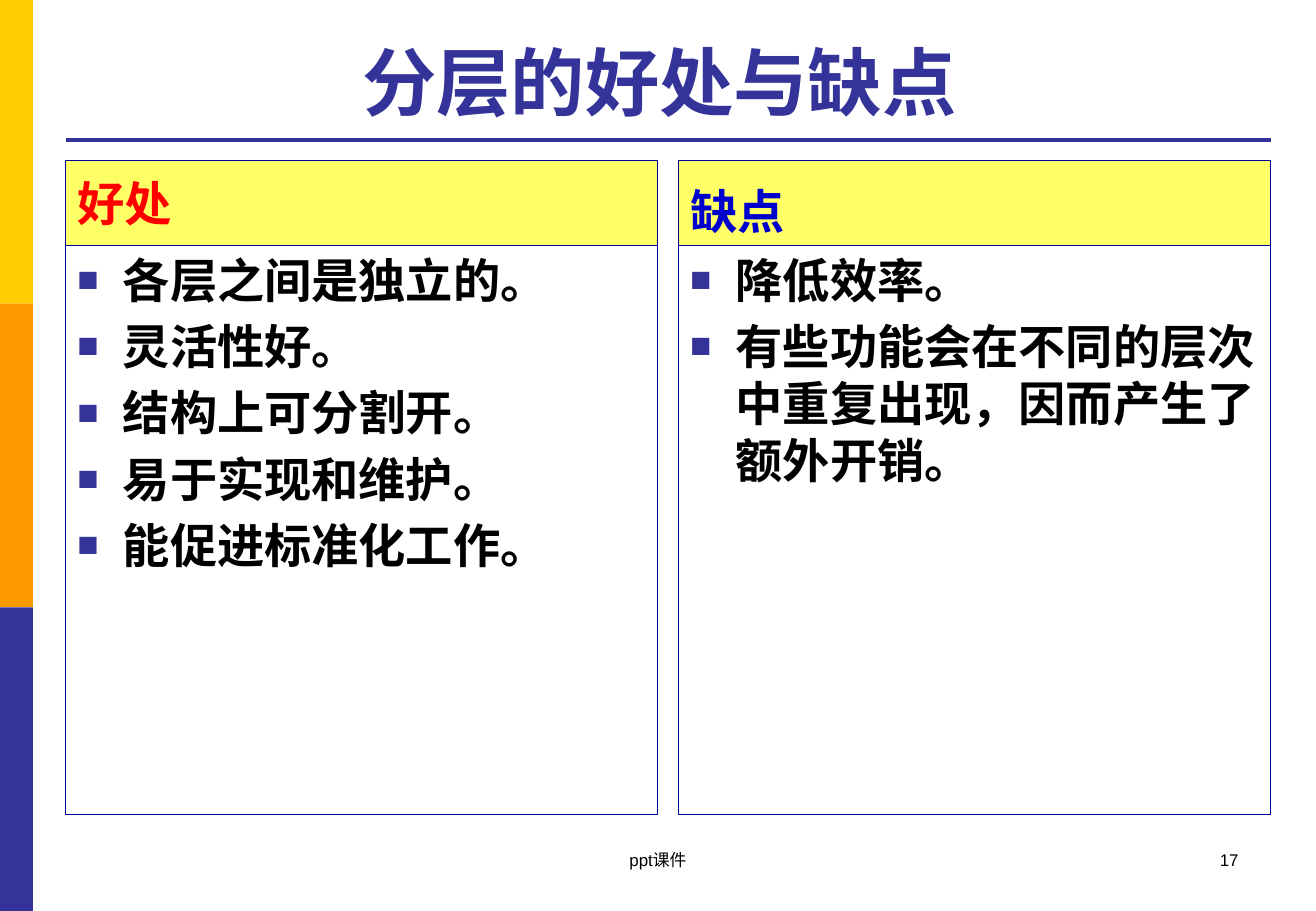
from dataclasses import dataclass

import pptx
import pptx.dml.color
import pptx.enum.shapes
import pptx.enum.text
import pptx.oxml.ns
import pptx.util
from lxml import etree

Cm = pptx.util.Cm
Pt = pptx.util.Pt
RGB = pptx.dml.color.RGBColor.from_string
ALIGN = pptx.enum.text.PP_ALIGN
ANCHOR = pptx.enum.text.MSO_ANCHOR
RECT = pptx.enum.shapes.MSO_SHAPE.RECTANGLE
qn = pptx.oxml.ns.qn


@dataclass(frozen=True)
class Theme:
    font: str = "Arial"
    title_size: int = 44
    body_size: int = 28
    footer_size: int = 10
    indigo: str = "333399"
    bands: tuple = ("FFCC00", "FF9900", "333399")
    header: str = "FFFF66"
    border: str = "000099"
    text: str = "000000"
    pros: str = "FF0000"
    cons: str = "0000CC"


THEME = Theme()


def add_run(p, text, size, color, bold=True):
    r = p.add_run()
    r.text = text
    r.font.name = THEME.font
    r.font.size = Pt(size)
    r.font.bold = bold
    r.font.color.rgb = RGB(color)


def add_box(slide, x, y, w, h, fill=None, line=None, anchor=ANCHOR.TOP):
    sp = slide.shapes.add_shape(RECT, Cm(x), Cm(y), Cm(w), Cm(h))
    sp.shadow.inherit = False
    if fill:
        sp.fill.solid()
        sp.fill.fore_color.rgb = RGB(fill)
    else:
        sp.fill.background()
    if line:
        sp.line.color.rgb = RGB(line)
        sp.line.width = Pt(0.75)
    else:
        sp.line.fill.background()
    sp.text_frame.word_wrap = True
    sp.text_frame.vertical_anchor = anchor
    return sp


def add_bullet(p):
    pPr = p._p.get_or_add_pPr()
    pPr.set("marL", str(Cm(0.95)))
    pPr.set("indent", str(-Cm(0.95)))
    color = etree.SubElement(pPr, qn("a:buClr"))
    etree.SubElement(color, qn("a:srgbClr"), val=THEME.indigo)
    etree.SubElement(pPr, qn("a:buSzPct"), val="75000")
    etree.SubElement(pPr, qn("a:buFont"), typeface=THEME.font)
    etree.SubElement(pPr, qn("a:buChar"), char="■")


def add_side_bands(slide, x, y, w, h):
    band_h = h / len(THEME.bands)
    for i, color in enumerate(THEME.bands):
        add_box(slide, x, y + i * band_h, w, band_h, color)


def add_title(slide, x, y, w, h, text):
    sp = slide.shapes.title
    sp.left, sp.top, sp.width, sp.height = Cm(x), Cm(y), Cm(w), Cm(h)
    tf = sp.text_frame
    tf.auto_size = pptx.enum.text.MSO_AUTO_SIZE.NONE
    tf.word_wrap = True
    tf.vertical_anchor = ANCHOR.BOTTOM
    p = tf.paragraphs[0]
    p.alignment = ALIGN.CENTER
    add_run(p, text, THEME.title_size, THEME.indigo)
    rule_y = Cm(y + h + 0.18)
    rule = slide.shapes.add_connector(
        pptx.enum.shapes.MSO_CONNECTOR.STRAIGHT, Cm(x), rule_y, Cm(x + w), rule_y)
    rule.line.color.rgb = RGB(THEME.indigo)
    rule.line.width = Pt(2.25)
    etree.SubElement(rule._element.spPr, qn("a:effectLst"))


def add_column(slide, x, y, w, h, heading, color, anchor, points):
    head_h = 1.78
    head = add_box(slide, x, y, w, head_h, THEME.header, THEME.border, anchor)
    p = head.text_frame.paragraphs[0]
    p.alignment = ALIGN.LEFT
    add_run(p, heading, THEME.body_size, color)
    body = add_box(slide, x, y + head_h, w, h - head_h, line=THEME.border)
    tf = body.text_frame
    for i, point in enumerate(points):
        p = tf.add_paragraph() if i else tf.paragraphs[0]
        add_bullet(p)
        p.alignment = ALIGN.LEFT
        if i:
            p.space_before = Pt(0.2 * THEME.body_size)
        add_run(p, point, THEME.body_size, THEME.text)


def add_footer(slide, x, y, w, h, text, align):
    tf = slide.shapes.add_textbox(Cm(x), Cm(y), Cm(w), Cm(h)).text_frame
    tf.word_wrap = True
    p = tf.paragraphs[0]
    p.alignment = align
    add_run(p, text, THEME.footer_size, THEME.text, bold=False)


def main():
    prs = pptx.Presentation()
    prs.slide_width, prs.slide_height = Cm(27.51), Cm(19.05)
    slide = prs.slides.add_slide(prs.slide_layouts[5])
    left, width, gap = 1.37, 25.19, 0.43
    col_w = (width - gap) / 2
    add_side_bands(slide, 0, 0, 0.69, 19.05)
    add_title(slide, left, 0.53, width, 2.21, "分层的好处与缺点 ")
    columns = (
        ("好处", THEME.pros, ANCHOR.MIDDLE,
         ("各层之间是独立的。", "灵活性好。", "结构上可分割开。",
          "易于实现和维护。", "能促进标准化工作。")),
        ("缺点", THEME.cons, ANCHOR.BOTTOM,
         ("降低效率。", "有些功能会在不同的层次中重复出现，因而产生了额外开销。")),
    )
    for i, column in enumerate(columns):
        add_column(slide, left + i * (col_w + gap), 3.35, col_w, 13.69, *column)
    add_footer(slide, 19.71, 17.65, 6.43, 1.27, "17", ALIGN.RIGHT)
    add_footer(slide, 9.4, 17.65, 8.71, 1.27, "ppt课件", ALIGN.CENTER)
    prs.save("out.pptx")


if __name__ == "__main__":
    main()
